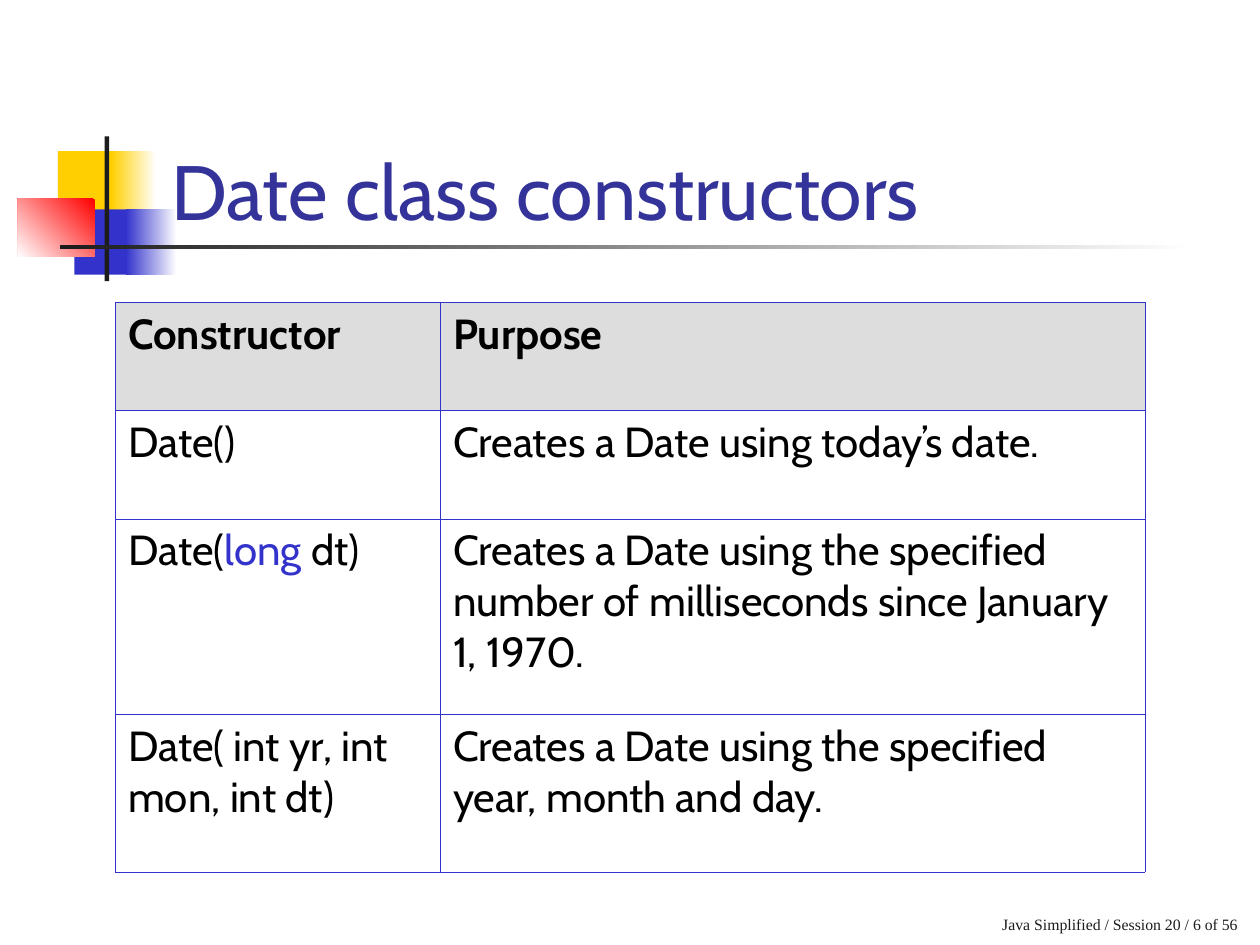
from lxml import etree
from pptx import Presentation
from pptx.dml.color import RGBColor
from pptx.enum.shapes import MSO_SHAPE
from pptx.enum.text import MSO_ANCHOR, MSO_AUTO_SIZE, PP_ALIGN
from pptx.oxml.ns import qn
from pptx.util import Cm, Pt

RECTANGLE = MSO_SHAPE.RECTANGLE
BOTTOM = MSO_ANCHOR.BOTTOM
NO_AUTOFIT = MSO_AUTO_SIZE.NONE
LEFT, RIGHT = PP_ALIGN.LEFT, PP_ALIGN.RIGHT

COLORS = {
    "yellow": "FFCF01", "blue": "3333CC", "red": "FF0000", "white": "FFFFFF",
    "ink": "1C1C1C", "title": "333399", "black": "000000", "header": "DDDDDD",
}
FRAME_FORMAT = {"word_wrap": True, "auto_size": NO_AUTOFIT, "vertical_anchor": BOTTOM}


def add_text(paragraph, text, color, size, font="Cabin", bold=False):
    run = paragraph.add_run()
    run.text = text
    for attribute, value in {"name": font, "size": Pt(size), "bold": bold}.items():
        setattr(run.font, attribute, value)
    run.font.color.rgb = RGBColor.from_string(COLORS[color])


def add_border(cell, side):
    line = etree.SubElement(cell._tc.get_or_add_tcPr(), qn(f"a:{side}"), w=str(Pt(0.45)))
    fill = etree.SubElement(line, qn("a:solidFill"))
    etree.SubElement(fill, qn("a:srgbClr"), val=COLORS["blue"])


prs = Presentation()
prs.slide_width, prs.slide_height = Cm(25.4), Cm(19.05)
slide = prs.slides.add_slide(prs.slide_layouts[5])

ornaments = [
    (1.17, 3.05, 1.22, 1.32, ["yellow"], 0),
    (2.24, 3.05, 0.91, 1.32, ["white", "yellow"], 180),
    (1.5, 4.22, 1.17, 1.32, ["blue"], 0),
    (2.54, 4.22, 1.02, 1.32, ["white", "blue"], 180),
    (0.36, 4.01, 1.55, 1.17, ["red", "white"], 225),
    (2.11, 2.75, 0.09, 2.92, ["ink"], 0),
    (1.22, 4.94, 22.86, 0.09, ["white", "ink"], 180),
]
for left, top, width, height, tones, angle in ornaments:
    ornament = slide.shapes.add_shape(RECTANGLE, Cm(left), Cm(top), Cm(width), Cm(height))
    ornament.shadow.inherit = False
    ornament.line.fill.background()
    if len(tones) == 1:
        ornament.fill.solid()
        ornament.fill.fore_color.rgb = RGBColor.from_string(COLORS[tones[0]])
    else:
        ornament.fill.gradient()
        ornament.fill.gradient_angle = angle
        for stop, tone in zip(ornament.fill.gradient_stops, tones):
            stop.color.rgb = RGBColor.from_string(COLORS[tone])

footer = slide.shapes.add_textbox(Cm(13.77), Cm(17.68), Cm(11.43), Cm(1.27))
footer_line = footer.text_frame.paragraphs[0]
footer_line.alignment = RIGHT
add_text(footer_line, "Java Simplified / Session 20 / 6 of 56", "ink", 9, "Times New Roman")

title = slide.shapes.title
title_box = {"left": Cm(3.2), "top": Cm(1.7), "width": Cm(21.64), "height": Cm(3.18)}
for attribute, value in title_box.items():
    setattr(title, attribute, value)
title_line = title.text_frame.paragraphs[0]
title_line.alignment = LEFT
add_text(title_line, "Date class constructors", "title", 44)
slide.shapes._spTree.append(title._element)

for frame in (footer.text_frame, title.text_frame):
    for attribute, value in FRAME_FORMAT.items():
        setattr(frame, attribute, value)

constructors = [
    (["Constructor"], ["Purpose"]),
    (["Date()"], ["Creates a Date using today’s date."]),
    (["Date(", "long", " dt)"],
     ["Creates a Date using the specified number of milliseconds since January 1, 1970."]),
    (["Date( int yr, int mon, int dt)"],
     ["Creates a Date using the specified year, month and day."]),
]
column_widths = [6.55, 14.2]
row_heights = [2.18, 2.18, 3.95, 3.17]
table = slide.shapes.add_table(
    len(row_heights), len(column_widths), Cm(2.33), Cm(6.1),
    Cm(sum(column_widths)), Cm(sum(row_heights))).table
table.first_row = table.horz_banding = False
for column, width in zip(table.columns, column_widths):
    column.width = Cm(width)
for row, height in zip(table.rows, row_heights):
    row.height = Cm(height)

for row_index, constructor in enumerate(constructors):
    is_header = row_index == 0
    for column_index, pieces in enumerate(constructor):
        cell = table.cell(row_index, column_index)
        for side in ("lnL", "lnR", "lnT", "lnB"):
            add_border(cell, side)
        if is_header:
            cell.fill.solid()
            cell.fill.fore_color.rgb = RGBColor.from_string(COLORS["header"])
        else:
            cell.fill.background()
        cell_line = cell.text_frame.paragraphs[0]
        cell_line.space_before = Pt(6)
        for piece in pieces:
            add_text(cell_line, piece, "blue" if piece == "long" else "black", 24, bold=is_header)

prs.save("out.pptx")
